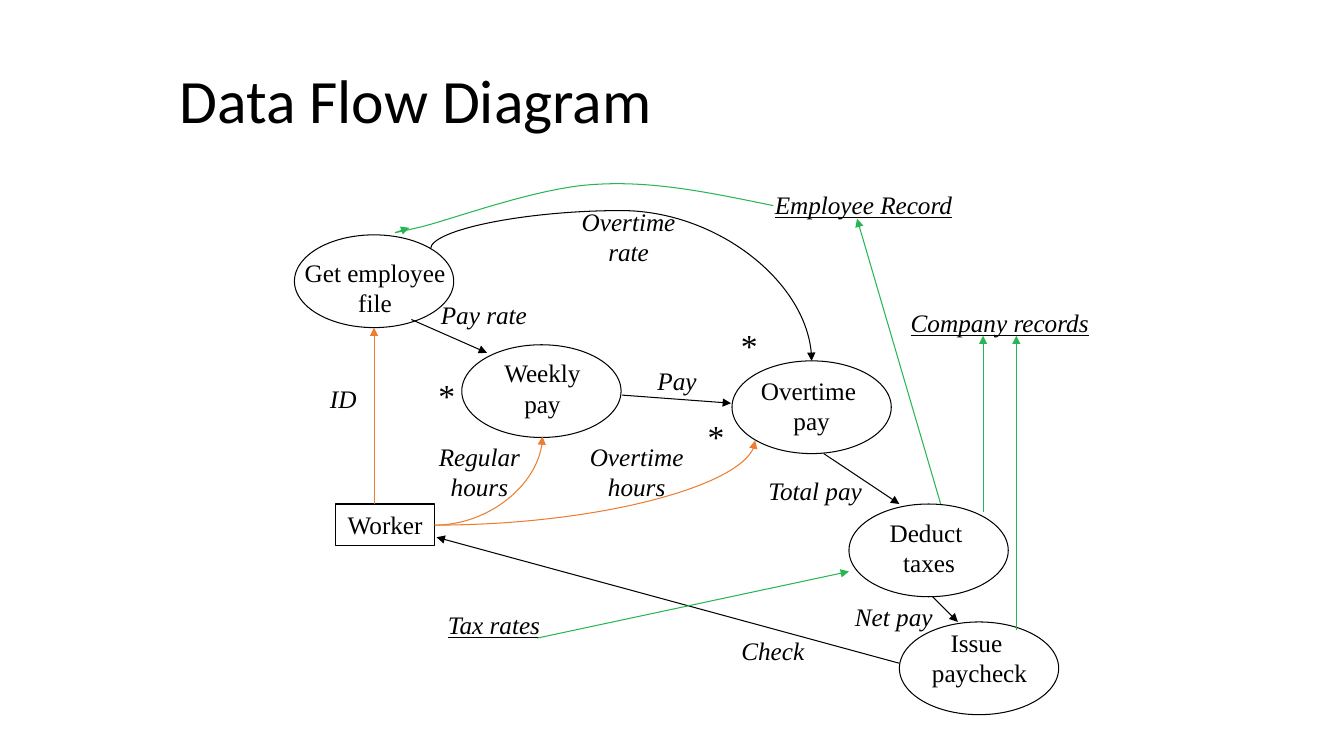
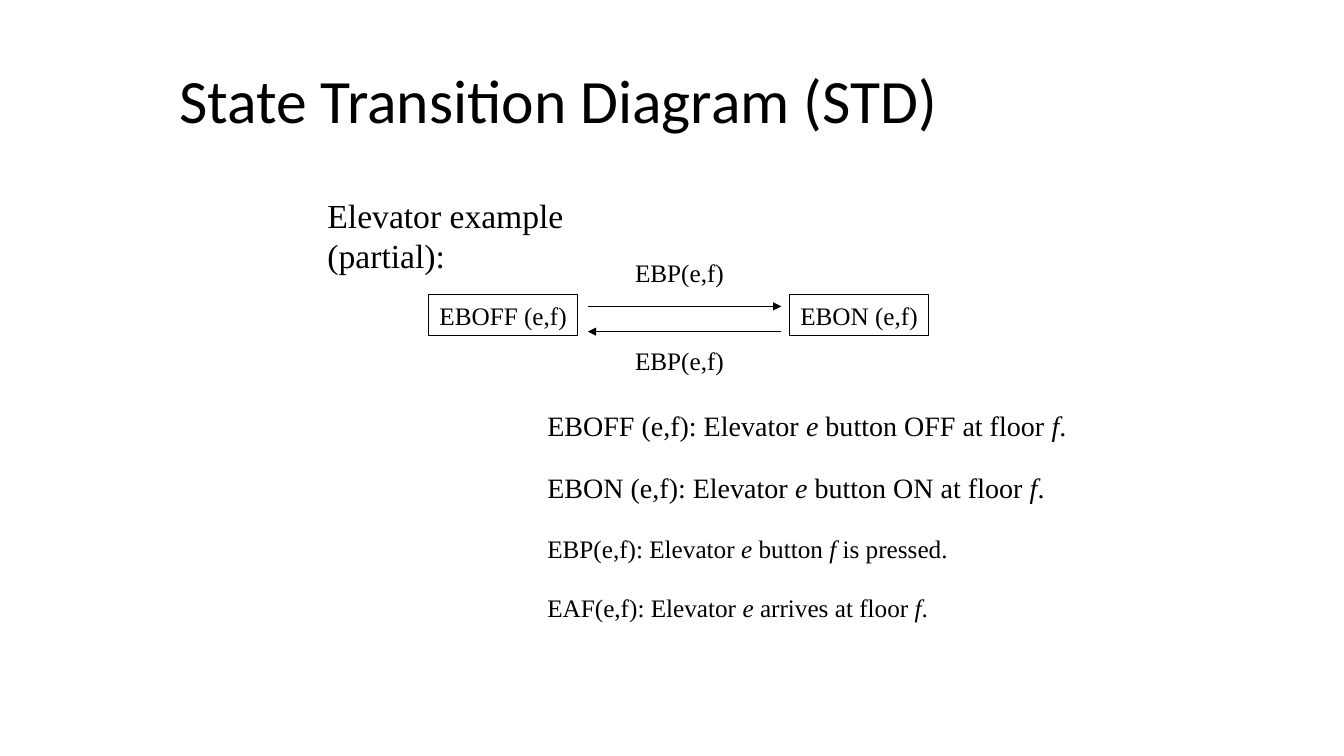
import pptx
import pptx.dml.color
import pptx.enum.shapes
import pptx.enum.text
import pptx.oxml
import pptx.oxml.ns
import pptx.util
from lxml import etree

Inches = pptx.util.Inches
SHAPE = pptx.enum.shapes.MSO_SHAPE
CONNECTOR = pptx.enum.shapes.MSO_CONNECTOR
ALIGN = pptx.enum.text.PP_ALIGN
ANCHOR = pptx.enum.text.MSO_ANCHOR
qn = pptx.oxml.ns.qn

COLORS = {"ink": "000000", "record": "26B653", "input": "ED7D31", "paper": "FFFFFF"}
TITLE_FONT, BODY_FONT = "Calibri", "Times New Roman"
TITLE_BOX = (1.68, 0.23, 11.36, 1.6)
OVAL_SIZE = (1.58, 0.92)
BOX_HEIGHT = 0.41

# Data flow diagram: label, oval corner, label corner, label width
PROCESSES = [
    ("Get employee\nfile", (2.92, 2.33), (2.92, 2.5), 1.6),
    ("Weekly\npay", (4.58, 3.42), (4.89, 3.5), 0.98),
    ("Overtime \npay", (7.26, 3.58), (7.25, 3.67), 1.6),
    ("Deduct \ntaxes", (8.42, 5), (8.72, 5.08), 0.99),
    ("Issue \npaycheck", (8.92, 6.17), (9.14, 6.17), 1.15),
]
# Label, left, top, width
FLOW_LABELS = [
    ("Pay rate", 4.17, 2.92, 1.26),
    ("Overtime\nrate", 5.67, 2, 1.13),
    ("Total pay", 7.5, 4.67, 1.17),
    ("Pay", 6.42, 3.58, 0.59),
    ("Net pay", 8.38, 5.92, 0.97),
    ("ID", 3.17, 3.75, 0.47),
    ("Regular\nhours", 4.25, 4.33, 1.01),
    ("Overtime\nhours", 5.75, 4.33, 1.13),
    ("Check", 7.25, 6.25, 0.83),
]
STORES = [
    ("Employee Record", 7.58, 1.83, 1.97),
    ("Company records", 8.92, 3, 1.99),
    ("Tax rates", 4.33, 6, 1.14),
]
WORKER = ("Worker", 3.33, 5, 0.98)
STARS = [(4.25, 3.67), (6.92, 4.08), (7.25, 3.17)]
# Colour, start, end
FLOWS = [
    ("ink", (4.08, 3.17), (4.83, 3.5)),
    ("ink", (6.17, 3.92), (7.25, 4)),
    ("ink", (8.17, 4.5), (8.92, 5)),
    ("ink", (9.25, 5.92), (9.5, 6.17)),
    ("ink", (8.92, 6.58), (4.33, 5.33)),
    ("input", (3.71, 5), (3.71, 3.25)),
    ("record", (9.75, 5.08), (9.75, 3.33)),
    ("record", (10.08, 6.25), (10.08, 3.33)),
    ("record", (9.33, 5), (8.5, 2.17)),
    ("record", (5.33, 6.33), (8.42, 5.67)),
]
HOURS_START = (4.31, 5.21)
HOURS_ENDS = [(5.38, 4.33), (7.49, 4.37)]
OVERTIME_RATE = ((4.27, 2.47), (8.05, 3.58), -0.344)
RECORD_CURVE = [
    (7.67, 2.04),
    (7.08, 1.92), (6.49, 1.79), (5.9, 1.83),
    (5.32, 1.86), (4.45, 2.19), (4.14, 2.26),
    (3.83, 2.33), (3.95, 2.3), (4.06, 2.26),
]

# State transition diagram
INTRO = ("Elevator example (partial):", 3.15, 1.88, 2.9)
STATES = [("EBOFF (e,f)", 4.25, 2.92, 1.48), ("EBON (e,f)", 7.83, 2.92, 1.38)]
EVENTS = [("EBP(e,f)", 6.2, 2.5, 1.08), ("EBP(e,f)", 6.2, 3.38, 1.08)]
TRANSITIONS = [((5.83, 3.04), (7.75, 3.04)), ((7.75, 3.29), (5.83, 3.29))]
# Size, top, width, runs (every second run is italic)
DEFINITIONS = [
    (20, 4, 5.4, ("EBOFF (e,f): Elevator ", "e", " button OFF at floor ", "f", ". ")),
    (20, 4.62, 5.19, ("EBON (e,f): Elevator ", "e", " button ON at floor ", "f", ". ")),
    (18, 5.24, 4.17, ("EBP(e,f): Elevator ", "e", " button ", "f", " is pressed.")),
    (18, 5.83, 3.98, ("EAF(e,f): Elevator ", "e", " arrives at floor ", "f", ".")),
]
DEFINITION_LEFT = 5.33


def rgb(name):
    """Return a named colour."""
    return pptx.dml.color.RGBColor.from_string(COLORS[name])


def inches(*values):
    """Convert several lengths."""
    return [Inches(value) for value in values]


def write(frame, paragraphs, size=18, font=BODY_FONT, align=ALIGN.CENTER,
          italic=False, underline=False):
    """Write paragraphs, each a tuple of runs that alternate upright and italic."""
    for number, runs in enumerate(paragraphs):
        paragraph = frame.paragraphs[0] if number == 0 else frame.add_paragraph()
        paragraph.alignment = align
        for position, words in enumerate(runs):
            run = paragraph.add_run()
            run.text = words
            run.font.size = pptx.util.Pt(size)
            run.font.name = font
            run.font.color.rgb = rgb("ink")
            run.font.italic = italic or position % 2 == 1
            run.font.underline = underline


def lines_of(words):
    """Split a label into one-run paragraphs."""
    return [(line,) for line in words.split("\n")]


def label(shapes, paragraphs, left, top, width, size=18, wrap=False, **style):
    """Add a text box whose height follows its lines."""
    height = 0.1 + len(paragraphs) * size / 60
    frame = shapes.add_textbox(*inches(left, top, width, height)).text_frame
    frame.word_wrap = wrap
    frame.auto_size = pptx.enum.text.MSO_AUTO_SIZE.SHAPE_TO_FIT_TEXT
    write(frame, paragraphs, size, **style)


def outline(shapes, preset, left, top, width, height, weight):
    """Add an unfilled shape with a black outline."""
    shape = shapes.add_shape(preset, *inches(left, top, width, height))
    shape.shadow.inherit = False
    shape.fill.background()
    shape.line.color.rgb = rgb("ink")
    shape.line.width = pptx.util.Pt(weight)
    return shape


def box(shapes, words, left, top, width):
    """Add a labelled rectangle."""
    frame = outline(shapes, SHAPE.RECTANGLE, left, top, width, BOX_HEIGHT, 1).text_frame
    frame.word_wrap = False
    frame.vertical_anchor = ANCHOR.MIDDLE
    write(frame, lines_of(words))


def point_arrow(shape, color):
    """Style a line and put a triangle at its end."""
    shape.line.color.rgb = rgb(color)
    shape.line.width = pptx.util.Pt(0.75)
    etree.SubElement(shape.line._get_or_add_ln(), qn("a:tailEnd"), type="triangle")


def arrow(shapes, color, start, end, kind=CONNECTOR.STRAIGHT):
    """Add an arrow between two points."""
    connector = shapes.add_connector(kind, *inches(*start, *end))
    point_arrow(connector, color)
    etree.SubElement(connector._element.spPr, qn("a:effectLst"))
    return connector


def quarter_arrow(shapes, color, start, end):
    """Add a curved arrow that leaves sideways and arrives upright."""
    connector = arrow(shapes, color, start, end, CONNECTOR.CURVE)
    connector._element.spPr.find(qn("a:prstGeom")).set("prst", "curvedConnector2")


def arch_arrow(shapes, color, start, end, bend):
    """Add a curved arrow that leaves and arrives upright, turned a quarter."""
    middle_x, middle_y = (start[0] + end[0]) / 2, (start[1] + end[1]) / 2
    half_x, half_y = (end[0] - start[0]) / 2, (end[1] - start[1]) / 2
    connector = arrow(shapes, color, (middle_x - half_y, middle_y + half_x),
                      (middle_x + half_y, middle_y - half_x), CONNECTOR.CURVE)
    properties = connector._element.spPr
    properties.find(qn("a:xfrm")).set("rot", str(90 * 60000))
    geometry = properties.find(qn("a:prstGeom"))
    adjustments = geometry.find(qn("a:avLst"))
    if adjustments is None:
        adjustments = etree.SubElement(geometry, qn("a:avLst"))
    etree.SubElement(adjustments, qn("a:gd"), name="adj1", fmla=f"val {round(bend * 100000)}")


def free_arrow(shapes, color, points):
    """Add an arrow along cubic curves, three points to each curve."""
    start, *rest = [tuple(inches(*point)) for point in points]
    builder = shapes.build_freeform(*start)
    builder.add_line_segments(rest, close=False)
    shape = builder.convert_to_shape()
    shape.shadow.inherit = False
    shape.fill.background()
    point_arrow(shape, color)
    track = next(shape._element.iter(qn("a:pathLst")))[0]
    segments = track.findall(qn("a:lnTo"))
    for first in range(0, len(segments), 3):
        curve = etree.SubElement(track, qn("a:cubicBezTo"))
        for segment in segments[first:first + 3]:
            curve.append(segment[0])
            track.remove(segment)


def titled_slide(deck, title):
    """Add a blank slide with the shared background and title style."""
    slide = deck.slides.add_slide(deck.slide_layouts[6])
    slide.background.fill.solid()
    slide.background.fill.fore_color.rgb = rgb("paper")
    frame = slide.shapes.add_textbox(*inches(*TITLE_BOX)).text_frame
    frame.word_wrap = True
    frame.vertical_anchor = ANCHOR.MIDDLE
    write(frame, [(title,)], 44, TITLE_FONT, ALIGN.LEFT)
    frame.paragraphs[0].line_spacing = 0.9
    return slide.shapes


def data_flow_slide(deck):
    """Build the payroll data flow diagram."""
    shapes = titled_slide(deck, "Data Flow Diagram")
    for words, oval_corner, label_corner, width in PROCESSES:
        process = shapes.add_group_shape().shapes
        label(process, lines_of(words), *label_corner, width)
        outline(process, SHAPE.OVAL, *oval_corner, *OVAL_SIZE, 0.75)
    box(shapes, *WORKER)
    for words, *place in FLOW_LABELS:
        label(shapes, lines_of(words), *place, italic=True)
    for words, *place in STORES:
        label(shapes, lines_of(words), *place, italic=True, underline=True)
    for corner in STARS:
        label(shapes, [("*",)], *corner, 0.37, size=24, align=ALIGN.LEFT)
    for flow in FLOWS:
        arrow(shapes, *flow)
    for end in HOURS_ENDS:
        quarter_arrow(shapes, "input", HOURS_START, end)
    arch_arrow(shapes, "ink", *OVERTIME_RATE)
    free_arrow(shapes, "record", RECORD_CURVE)


def state_slide(deck):
    """Build the elevator state transition diagram."""
    shapes = titled_slide(deck, "State Transition Diagram (STD)")
    diagram = shapes.add_group_shape().shapes
    for state in STATES:
        box(diagram, *state)
    for words, *place in EVENTS:
        label(diagram, lines_of(words), *place, align=ALIGN.LEFT)
    for start, end in TRANSITIONS:
        arrow(diagram, "ink", start, end)
    for size, top, width, runs in DEFINITIONS:
        label(shapes, [runs], DEFINITION_LEFT, top, width, size, align=ALIGN.LEFT)
    words, *place = INTRO
    label(shapes, lines_of(words), *place, size=24, wrap=True, align=ALIGN.LEFT)


def main():
    """Build and save the deck."""
    deck = pptx.Presentation()
    deck.slide_width, deck.slide_height = inches(13.33, 7.5)
    data_flow_slide(deck)
    state_slide(deck)
    deck.save("out.pptx")


main()
